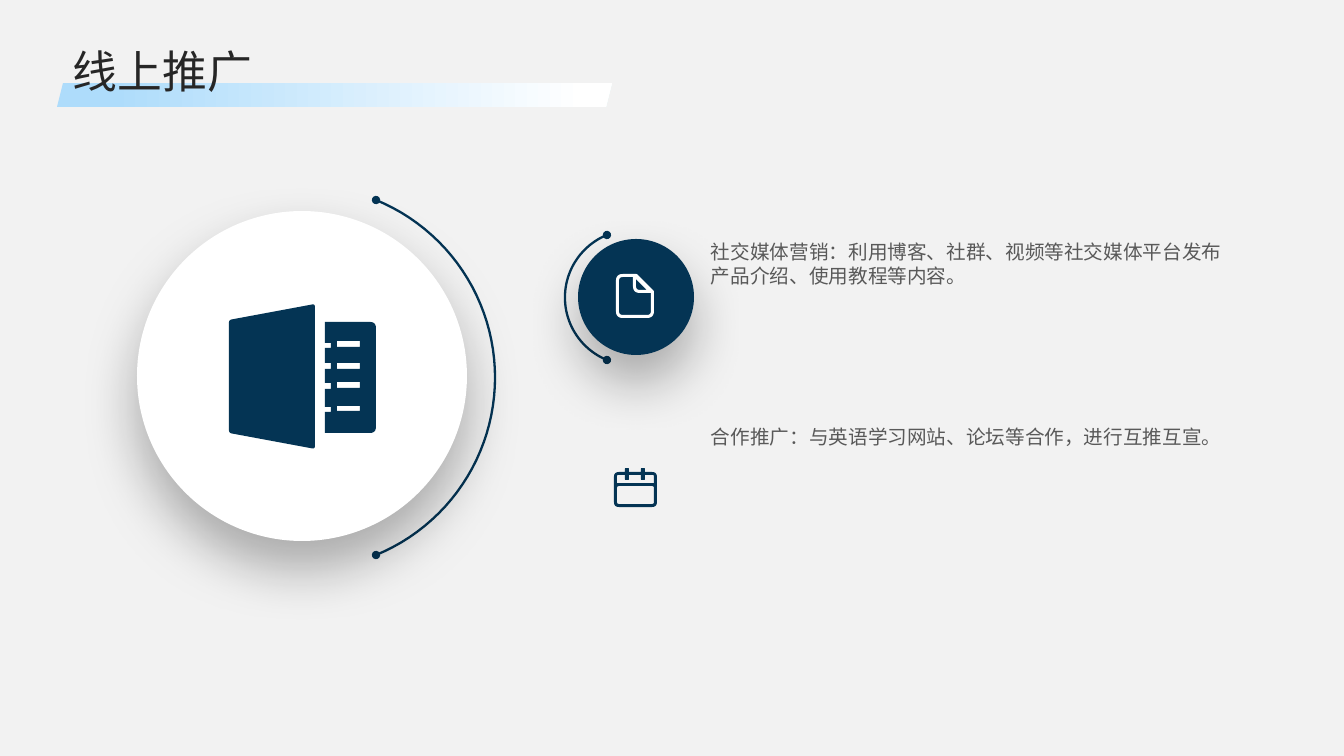
from math import atan2, cos, sin

from lxml import etree
from pptx import Presentation
from pptx.dml.color import RGBColor
from pptx.enum.shapes import MSO_SHAPE
from pptx.enum.text import MSO_ANCHOR
from pptx.oxml.ns import qn
from pptx.util import Pt

OVAL, BAR = MSO_SHAPE.OVAL, MSO_SHAPE.PARALLELOGRAM
TOP, MIDDLE = MSO_ANCHOR.TOP, MSO_ANCHOR.MIDDLE
PX = 914400 / 100.8
FONT = "Noto Sans CJK SC"
NAVY, WHITE, PAPER = "043454", "FFFFFF", "F2F2F2"

TITLE_BAR = (57, 83, 555, 24)
BAR_STOPS = [(0.1, "AEDCFB"), (0.95, WHITE)]
TEXTS = [
    ("线上推广", (73, 47, 1198, 48), 32, "262626", MIDDLE),
    ("社交媒体营销：利用博客、社群、视频等社交媒体平台发布产品介绍、使用教程等内容。",
     (711, 240, 526, 162), 14, "595959", TOP),
    ("合作推广：与英语学习网站、论坛等合作，进行互推互宣。",
     (711, 425, 526, 170), 14, "595959", TOP),
]
DISCS = [((578, 239, 116, 116), NAVY), ((137, 211, 330, 330), WHITE)]
ARCS = [(607, 235, 360, 565), (376, 200, 555, 495)]


def box(left, top, right, bottom, r=0):
    return [(left, top, r), (right, top, r), (right, bottom, r), (left, bottom, r)]


def ring_edges(y, tip):
    return [c for x in (625, 641)
            for c in ((x, y, 0), (x, tip, 1), (x + 4, tip, 1), (x + 4, y, 0))]


NOTCHES = [(407, 412), (383, 389), (363, 369), (343, 348)]
PAGE_EDGE = [c for top, bottom in NOTCHES
             for c in ((325, bottom, 0), (331, bottom, 0), (331, top, 0), (325, top, 0))]
SLOTS = [(341, 347), (363, 369), (382, 388), (406, 411)]
BOOK = [
    [(315, 304, 3), (315, 449, 3), (229, 433, 3), (229, 320, 3)],
    [(325, 322, 0), (376, 322, 6), (376, 433, 6), (325, 433, 0)] + PAGE_EDGE,
] + [box(337, top, 360, bottom) for top, bottom in SLOTS]
DOCUMENT = [
    [(616, 274, 7), (637, 274, 1), (654, 291, 1), (654, 318, 7), (616, 318, 7)],
    [(619, 277, 4), (633, 277, 0), (633, 293, 7), (651, 293, 0), (651, 315, 4), (619, 315, 4)],
    [(636, 279, 0), (636, 290, 4), (647, 290, 0)],
]
CALENDAR = [
    [(614, 472, 5)] + ring_edges(472, 468) + [(657, 472, 5), (657, 507, 5), (614, 507, 5)],
    [(617, 475, 1)] + ring_edges(475, 480) + [(654, 475, 1), (654, 483, 0), (617, 483, 0)],
    box(617, 486, 654, 504, 2),
]
ICONS = [(BOOK, NAVY), (DOCUMENT, WHITE), (CALENDAR, NAVY)]


def emu(*lengths):
    return [round(n * PX) for n in lengths]


def rgb(value):
    return RGBColor.from_string(value)


def toward(a, b, r):
    dx, dy = b[0] - a[0], b[1] - a[1]
    k = r / (dx * dx + dy * dy) ** 0.5
    return a[0] + dx * k, a[1] + dy * k


def rounded(corners, steps=6):
    points = []
    for i, c in enumerate(corners):
        if not c[2]:
            points.append(c[:2])
            continue
        a = toward(c, corners[i - 1], c[2])
        b = toward(c, corners[(i + 1) % len(corners)], c[2])
        for n in range(steps + 1):
            t = n / steps
            points.append(tuple((1 - t) ** 2 * a[j] + 2 * t * (1 - t) * c[j] + t * t * b[j]
                                for j in (0, 1)))
    return points


def arc_points(x, top, bottom, apex, steps=48):
    half, sag = (bottom - top) / 2, apex - x
    radius = (half * half + sag * sag) / (2 * sag)
    cx, cy = apex - radius, (top + bottom) / 2
    reach = atan2(half, (x - cx) * (1 if sag > 0 else -1))
    angles = [reach * (2 * n / steps - 1) for n in range(steps + 1)]
    return [(cx + radius * cos(a), cy + abs(radius) * sin(a)) for a in angles]


def add_path(contours, close):
    builder = None
    for contour in contours:
        points = [emu(*p) for p in contour]
        if builder is None:
            builder = s.shapes.build_freeform(*points[0], scale=1.0)
        else:
            builder.move_to(*points[0])
        builder.add_line_segments(points[1:], close=close)
    sp = builder.convert_to_shape()
    sp.shadow.inherit = False
    return sp


def paint(sp, color):
    sp.fill.solid()
    sp.fill.fore_color.rgb = rgb(color)
    sp.line.fill.background()


def add_preset(kind, bounds):
    sp = s.shapes.add_shape(kind, *emu(*bounds))
    sp.shadow.inherit = False
    sp.line.fill.background()
    return sp


def cast_shadow(sp):
    effects = sp._element.spPr.find(qn("a:effectLst"))
    shadow = etree.SubElement(effects, qn("a:outerShdw"), blurRad=str(Pt(40)), dist=str(Pt(20)),
                              dir="5400000", algn="t", rotWithShape="0")
    color = etree.SubElement(shadow, qn("a:srgbClr"), val="000000")
    etree.SubElement(color, qn("a:alpha"), val="30000")


def add_text(text, bounds, size, color, anchor):
    tf = s.shapes.add_textbox(*emu(*bounds)).text_frame
    frame = dict(word_wrap=True, vertical_anchor=anchor, margin_left=0, margin_right=0,
                 margin_top=0, margin_bottom=0)
    for name, value in frame.items():
        setattr(tf, name, value)
    r = tf.paragraphs[0].add_run()
    r.text = text
    for name, value in dict(name=FONT, size=Pt(size)).items():
        setattr(r.font, name, value)
    r.font.color.rgb = rgb(color)
    etree.SubElement(r.font._element, qn("a:ea"), typeface=FONT)


prs = Presentation()
prs.slide_width, prs.slide_height = emu(1344, 756)
s = prs.slides.add_slide(prs.slide_layouts[6])
s.background.fill.solid()
s.background.fill.fore_color.rgb = rgb(PAPER)

for arc in ARCS:
    sp = add_path([arc_points(*arc)], False)
    sp.fill.background()
    sp.line.color.rgb = rgb(NAVY)
    sp.line.width = Pt(1.63)
    for end in ("headEnd", "tailEnd"):
        etree.SubElement(sp.line._get_or_add_ln(), qn("a:" + end), type="oval")

for bounds, color in DISCS:
    sp = add_preset(OVAL, bounds)
    paint(sp, color)
    cast_shadow(sp)

for contours, color in ICONS:
    paint(add_path([rounded(c) for c in contours], True), color)

sp = add_preset(BAR, TITLE_BAR)
sp.fill.gradient()
sp.fill.gradient_angle = 0
for stop, (position, color) in zip(sp.fill.gradient_stops, BAR_STOPS):
    stop.position = position
    stop.color.rgb = rgb(color)

for text in TEXTS:
    add_text(*text)

prs.save("out.pptx")
